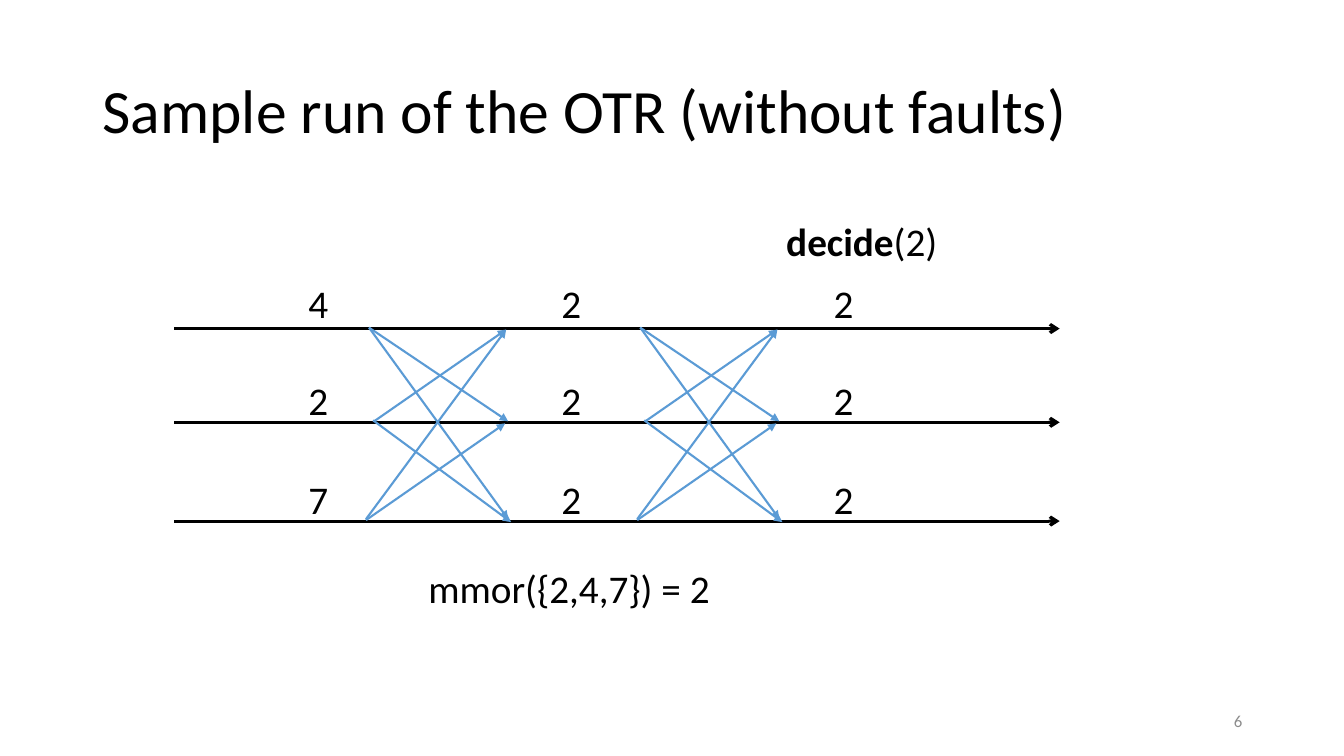
from lxml.etree import SubElement
from pptx import Presentation
from pptx.dml.color import RGBColor
from pptx.enum.shapes import MSO_CONNECTOR
from pptx.enum.text import MSO_ANCHOR, PP_ALIGN
from pptx.oxml.ns import qn
from pptx.util import Inches, Pt

deck = Presentation()
deck.slide_width, deck.slide_height = Inches(13.33), Inches(7.5)
slide = deck.slides.add_slide(deck.slide_layouts[6])


def add_label(text, left, top, width, height=0.57, size=28, color="000000", wrap=False):
    box = slide.shapes.add_textbox(Inches(left), Inches(top), Inches(width), Inches(height))
    box.text_frame.word_wrap = wrap
    paragraph = box.text_frame.paragraphs[0]
    paragraph.text = text
    paragraph.font.name = "Calibri"
    for run in paragraph.runs:
        run.font.name = "Calibri"
        run.font.size = Pt(size)
        run.font.color.rgb = RGBColor.from_string(color)
    return box.text_frame


def add_arrow(start, end, color, weight, head):
    arrow = slide.shapes.add_connector(
        MSO_CONNECTOR.STRAIGHT, *(Inches(value) for value in (*start, *end)))
    arrow.line.color.rgb = RGBColor.from_string(color)
    arrow.line.width = Pt(weight)
    SubElement(arrow.line._get_or_add_ln(), qn("a:tailEnd"), type=head)
    SubElement(arrow._element.spPr, qn("a:effectLst"))


title = add_label("Sample run of the OTR (without faults)", 0.92, 0.4, 11.5, 1.45, 44, wrap=True)
title.vertical_anchor = MSO_ANCHOR.MIDDLE
title.paragraphs[0].line_spacing = 0.9

page_number = add_label("6", 9.42, 6.95, 3, 0.4, 12, "8C8C8C", wrap=True)
page_number.vertical_anchor = MSO_ANCHOR.MIDDLE
page_number.paragraphs[0].alignment = PP_ALIGN.RIGHT

process_rows = [3.26, 4.19, 5.17]
for row in process_rows:
    add_arrow((1.73, row), (10.51, row), "000000", 2.25, "arrow")

messages = [
    ((3.66, 3.25), (5.04, 4.18)),
    ((3.66, 3.25), (5.04, 5.15)),
    ((3.71, 4.18), (5.02, 3.27)),
    ((3.63, 5.15), (5.02, 3.27)),
    ((3.63, 5.16), (5.01, 4.2)),
    ((3.7, 4.17), (5.07, 5.18)),
]
round_width = 2.69
for round_index in range(2):
    shift = round_index * round_width
    for (send_x, send_y), (receive_x, receive_y) in messages:
        add_arrow((send_x + shift, send_y), (receive_x + shift, receive_y),
                  "5B9BD5", 1.5, "triangle")

estimates = {2.96: "427", 5.47: "222", 8.17: "222"}
estimate_tops = [2.72, 3.68, 4.67]
for column, values in estimates.items():
    for value, top in zip(values, estimate_tops):
        add_label(value, column, top, 0.4)

decision = add_label("decide", 7.7, 2.11, 1.73).paragraphs[0]
decision.runs[0].font.bold = True
decided_value = decision.add_run()
decided_value.text = "(2)"
decided_value.font.name = "Calibri"
decided_value.font.size = Pt(28)
decided_value.font.color.rgb = RGBColor.from_string("000000")

add_label("mmor({2,4,7}) = 2", 4.15, 5.55, 3.03)

deck.save("out.pptx")
